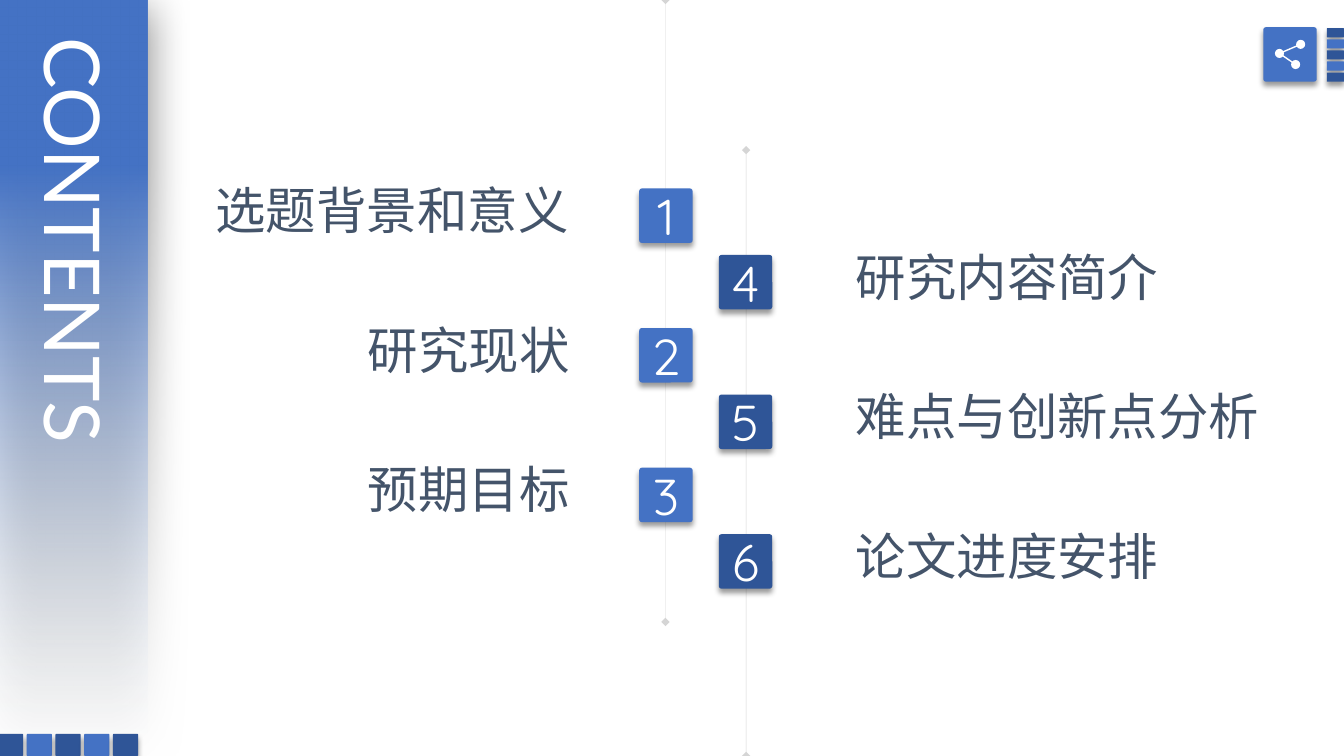
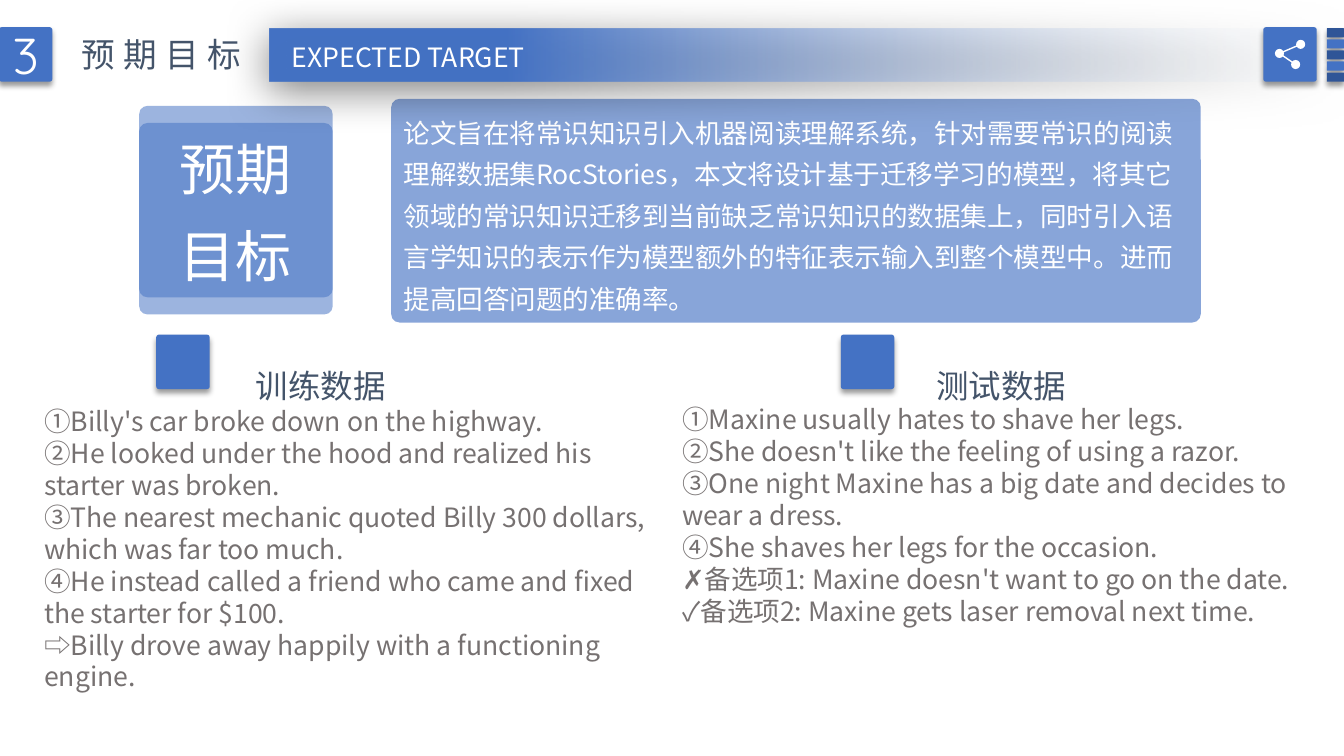
import pptx
import pptx.dml.color
import pptx.enum.dml
import pptx.enum.shapes
import pptx.enum.text
import pptx.oxml.ns
import pptx.util
from lxml import etree

Inches = pptx.util.Inches
Pt = pptx.util.Pt
qn = pptx.oxml.ns.qn
color_of = pptx.dml.color.RGBColor.from_string
SHAPES = pptx.enum.shapes.MSO_SHAPE
STRAIGHT = pptx.enum.shapes.MSO_CONNECTOR.STRAIGHT
CENTER = pptx.enum.text.PP_ALIGN.CENTER
MIDDLE = pptx.enum.text.MSO_ANCHOR.MIDDLE

# Shared style
BLUE, NAVY, SLATE, GRAY, WHITE = "4472C4", "2F5597", "44546A", "767171", "FFFFFF"
FADE = "F7FAFD"
CHINESE, DIGITS, LATIN = "Noto Sans CJK SC", "Quicksand", "Lato"
# Shadows: opacity in percent, blur and distance in points, direction in degrees
TILE_SHADOW = (40, 4, 3, 90)
BAND_SHADOW = (50, 31, 6, 97)
TILE_WIDTH, TILE_HEIGHT = 0.53, 0.54


def add_box(slide, left, top, width, height, fill, radius=0.05, opacity=100, shadow=None):
    """Add a rounded box; the fill FADE makes a square band that fades to clear."""
    preset = SHAPES.RECTANGLE if fill == FADE else SHAPES.ROUNDED_RECTANGLE
    shape = slide.shapes.add_shape(preset, Inches(left), Inches(top), Inches(width), Inches(height))
    shape.line.fill.background()
    shape.shadow.inherit = False
    properties = shape.element.spPr
    if fill == FADE:
        shape.fill.gradient()
        shape.fill.gradient_angle = 180
        for stop, color, position in zip(shape.fill.gradient_stops, (FADE, BLUE), (0, 0.78)):
            stop.color.rgb = color_of(color)
            stop.position = position
        opacity = 0
    else:
        shape.adjustments[0] = radius
        shape.fill.solid()
        shape.fill.fore_color.rgb = color_of(fill)
    if opacity < 100:
        first_color = next(properties.iter(qn("a:srgbClr")))
        etree.SubElement(first_color, qn("a:alpha"), val=str(opacity * 1000))
    if shadow:
        strength, blur, distance, direction = shadow
        outer = etree.SubElement(
            properties.find(qn("a:effectLst")), qn("a:outerShdw"),
            blurRad=str(Pt(blur)), dist=str(Pt(distance)), dir=str(direction * 60000),
            algn="t", rotWithShape="0")
        black = etree.SubElement(outer, qn("a:srgbClr"), val="000000")
        etree.SubElement(black, qn("a:alpha"), val=str(strength * 1000))
    return shape


def write(target, lines, size, color=WHITE, font=CHINESE, box=None, wrap=True,
          align=None, spacing=None, **run_attributes):
    """Write one paragraph per line into a shape, or into a new text box on a slide."""
    if box:
        target = target.shapes.add_textbox(*[Inches(length) for length in box])
    frame = target.text_frame
    frame.word_wrap = wrap
    if box:
        frame.auto_size = pptx.enum.text.MSO_AUTO_SIZE.SHAPE_TO_FIT_TEXT
    else:
        frame.vertical_anchor = MIDDLE
    for index, line in enumerate(lines):
        paragraph = frame.add_paragraph() if index else frame.paragraphs[0]
        paragraph.alignment = align or pptx.enum.text.PP_ALIGN.LEFT
        if spacing:
            paragraph.line_spacing = spacing
        run = paragraph.add_run()
        run.text = line
        run.font.size = Pt(size)
        run.font.color.rgb = color_of(color)
        run.font.name = font
        run_properties = run.font._element
        etree.SubElement(run_properties, qn("a:ea"), typeface=font)
        for name, value in run_attributes.items():
            run_properties.set(name, str(value))
    return frame


presentation = pptx.Presentation()
presentation.slide_width = Inches(13.33)
presentation.slide_height = Inches(7.5)
contents = presentation.slides.add_slide(presentation.slide_layouts[6])
target_slide = presentation.slides.add_slide(presentation.slide_layouts[6])

# Contents: timelines
for x, start, end in ((7.4, 1.49, 7.5), (6.6, 0, 6.17)):
    timeline = contents.shapes.add_connector(STRAIGHT, Inches(x), Inches(start), Inches(x), Inches(end))
    timeline.line.width = Pt(0.25)
    timeline.line.color.rgb = color_of("808080")
    properties = timeline.element.spPr
    etree.SubElement(next(properties.iter(qn("a:srgbClr"))), qn("a:alpha"), val="33000")
    for tag in ("a:headEnd", "a:tailEnd"):
        etree.SubElement(properties.find(qn("a:ln")), qn(tag), type="diamond")
    etree.SubElement(properties, qn("a:effectLst"))

# Contents: side band with its title and the squares at its foot
side_band = add_box(contents, -3, 2.99, 7.46, 1.47, FADE, shadow=BAND_SHADOW)
side_band.rotation = 90
for index in range(5):
    add_box(contents, -0.02 + 0.285 * index, 7.28, 0.25, 0.22,
            BLUE if index % 2 else NAVY, shadow=TILE_SHADOW)
title = write(contents, ["CONTENTS"], 55, font=LATIN, box=(0.12, 0.27, 1.13, 4.94))
title._txBody.bodyPr.set("vert", "eaVert")

# Contents: numbered chapters, each as label, left edge and width
left_chapters = (("选题背景和意义", 2.04, 3.74), ("研究现状", 3.55, 2.22), ("预期目标", 3.55, 2.22))
right_chapters = (("研究内容简介", 8.39, 3.23), ("难点与创新点分析", 8.39, 4.24), ("论文进度安排", 8.39, 3.23))
columns = (
    (left_chapters, 1, 6.34, 1.87, BLUE),
    (right_chapters, 4, 7.13, 2.53, NAVY),
)
for chapters, first_number, tile_left, first_top, color in columns:
    for index, (label, left, width) in enumerate(chapters):
        top = first_top + 1.385 * index
        tile = add_box(contents, tile_left, top, TILE_WIDTH, TILE_HEIGHT, color, shadow=TILE_SHADOW)
        write(tile, [str(first_number + index)], 36, font=DIGITS, align=CENTER)
        write(contents, [label], 36, SLATE, box=(left, top - 0.14, width, 0.71), wrap=False)

# Target: cards
add_box(target_slide, 1.38, 1.22, 1.92, 1.9, BLUE, radius=0.044, opacity=53)
card = add_box(target_slide, 1.38, 1.05, 1.92, 1.9, BLUE, radius=0.044, opacity=53)
write(card, ["预期", "目标"], 40, align=CENTER, spacing=1.3)
summary = add_box(target_slide, 3.88, 0.98, 8.03, 2.22, BLUE, radius=0.038, opacity=63)
write(summary, [
    "论文旨在将常识知识引入机器阅读理解系统，针对需要常识的阅读理解数据集RocStories，"
    "本文将设计基于迁移学习的模型，将其它领域的常识知识迁移到当前缺乏常识知识的数据集上，"
    "同时引入语言学知识的表示作为模型额外的特征表示输入到整个模型中。进而提高回答问题的准确率。",
], 19, spacing=1.3)

# Target: header
add_box(target_slide, 2.67, 0.28, 10.67, 0.53, FADE, shadow=BAND_SHADOW)
number = add_box(target_slide, -0.01, 0.27, TILE_WIDTH, TILE_HEIGHT, BLUE, shadow=TILE_SHADOW)
write(number, ["3"], 36, font=DIGITS, align=CENTER)
write(target_slide, ["预期目标"], 24, SLATE, box=(0.71, 0.29, 1.88, 0.5), wrap=False, spc=600)
write(target_slide, ["EXPECTED TARGET"], 19, box=(2.76, 0.36, 2.58, 0.42), wrap=False, align=CENTER)

# Target: training and test stories
training = [
    "①Billy's car broke down on the highway.",
    "②He looked under the hood and realized his starter was broken.",
    "③The nearest mechanic quoted Billy 300 dollars, which was far too much.",
    "④He instead called a friend who came and fixed the starter for $100.",
    "⇨Billy drove away happily with a functioning engine.",
]
test = [
    "①Maxine usually hates to shave her legs.",
    "②She doesn't like the feeling of using a razor.",
    "③One night Maxine has a big date and decides to wear a dress.",
    "④She shaves her legs for the occasion.",
    "✗备选项1: Maxine doesn't want to go on the date.",
    "✓备选项2: Maxine gets laser removal next time.",
]
stories = (
    ("训练数据", 1.55, 2.44, training, (0.34, 3.97, 6.33, 2.98)),
    ("测试数据", 8.34, 9.19, test, (6.67, 3.95, 6.4, 2.34)),
)
for heading, tile_left, heading_left, sentences, box in stories:
    write(target_slide, sentences, 19, GRAY, box=box)
    add_box(target_slide, tile_left, 3.32, TILE_WIDTH, TILE_HEIGHT, BLUE, shadow=TILE_SHADOW)
    write(target_slide, [heading], 40, SLATE, box=(heading_left, 3.4, 1.7, 0.55),
          wrap=False, baseline=9000)

# Both slides: share icon and bars in the top right corner
hub, upper, lower = (12.69, 0.53), (12.9, 0.44), (12.85, 0.64)
node_radius = 0.045
for slide in presentation.slides:
    for index in range(5):
        add_box(slide, 13.16, 0.28 + 0.11 * index, 0.17, 0.09,
                BLUE if index % 2 else NAVY, shadow=TILE_SHADOW)
    add_box(slide, 12.53, 0.27, TILE_WIDTH, TILE_HEIGHT, BLUE, shadow=TILE_SHADOW)
    for x, y in (upper, lower):
        link = slide.shapes.add_connector(STRAIGHT, Inches(hub[0]), Inches(hub[1]), Inches(x), Inches(y))
        link.line.color.rgb = color_of(WHITE)
        link.line.width = Pt(1)
        etree.SubElement(link.element.spPr, qn("a:effectLst"))
    for x, y in (hub, upper, lower):
        add_box(slide, x - node_radius, y - node_radius, 2 * node_radius, 2 * node_radius,
                WHITE, radius=0.5)

presentation.save("out.pptx")
